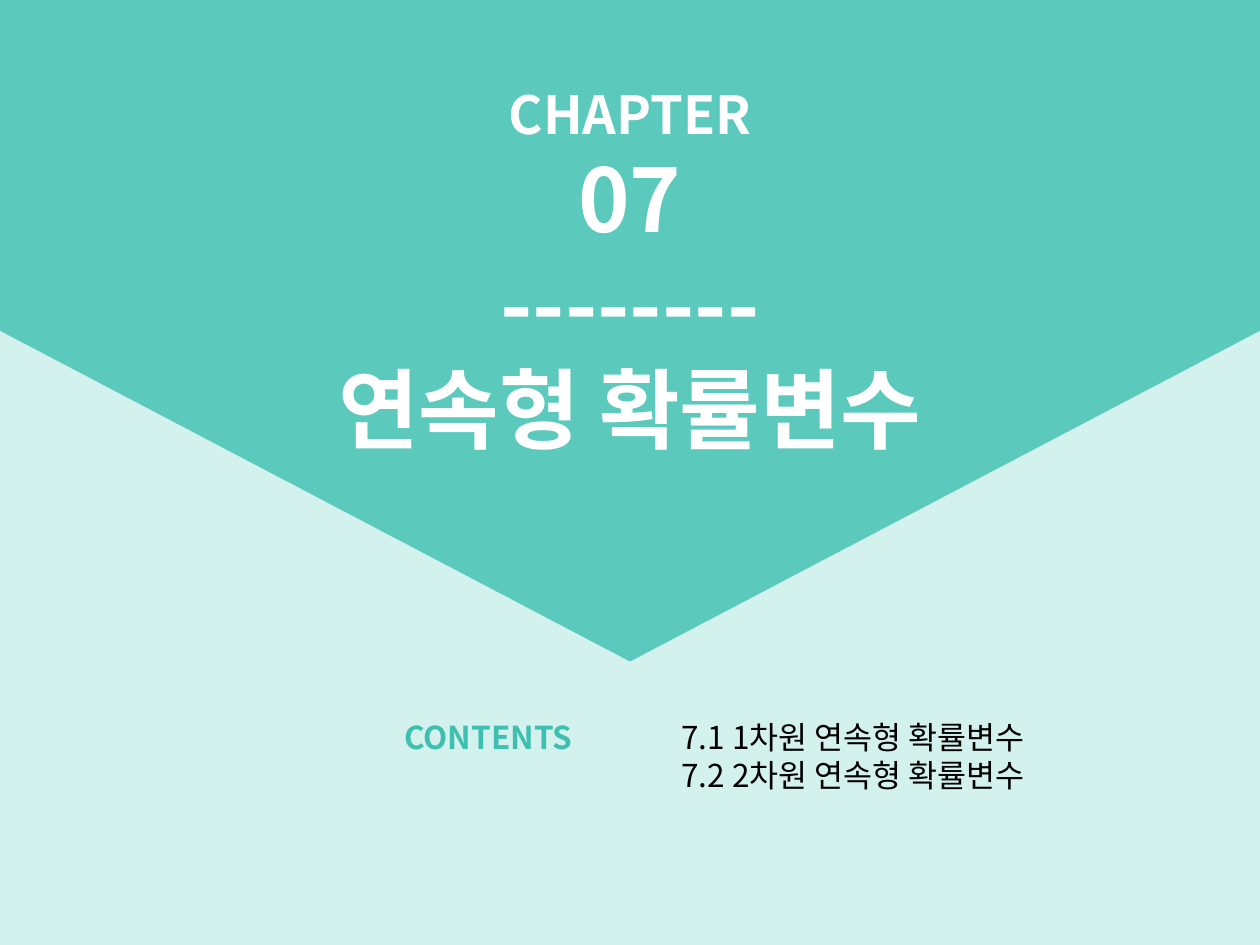
from lxml import etree
from pptx import Presentation
from pptx import util as u
from pptx.dml.color import RGBColor
from pptx.enum import shapes, text
from pptx.oxml.ns import qn

COLORS = {"pale": "D3F1ED", "mint": "5BC9BC", "accent": "3FBFB0",
          "white": "FFFFFF", "black": "000000"}
FONT = "Noto Sans CJK KR"
WIDTH, HEIGHT = u.Inches(10), u.Inches(7.5)


class ChapterSlide:
    """Holds the style and the slide; boxes are shares of the slide's size."""

    def __init__(self, prs):
        self.slide = prs.slides.add_slide(prs.slide_layouts[5])
        self.backdrop = self.slide.shapes.add_group_shape()

    def place(self, box):
        left, top, width, height = box
        return (round(left * WIDTH), round(top * HEIGHT),
                round(width * WIDTH), round(height * HEIGHT))

    def panel(self, kind, box, color, rotation=0):
        panel = self.backdrop.shapes.add_shape(kind, *self.place(box))
        panel.rotation = rotation
        panel.shadow.inherit = False
        panel.fill.solid()
        panel.fill.fore_color.rgb = RGBColor.from_string(COLORS[color])
        panel.line.fill.background()

    def add_lines(self, holder, lines, color, bold, align):
        """Fill a shape with one paragraph for each (wording, size) pair."""
        frame = holder.text_frame
        frame.word_wrap = True
        frame.auto_size = text.MSO_AUTO_SIZE.SHAPE_TO_FIT_TEXT
        frame.vertical_anchor = text.MSO_ANCHOR.TOP
        for index, (wording, size) in enumerate(lines):
            paragraph = frame.add_paragraph() if index else frame.paragraphs[0]
            paragraph.alignment = align
            run = paragraph.add_run()
            run.text = wording
            run.font.name, run.font.size, run.font.bold = FONT, u.Pt(size), bold
            run.font.color.rgb = RGBColor.from_string(COLORS[color])
        # Hangul takes its typeface from a:ea, not from a:latin.
        for latin in list(holder.element.iter(qn("a:latin"))):
            latin.addnext(etree.Element(qn("a:ea"), typeface=FONT))

    def title(self, box, lines, color):
        title = self.slide.shapes.title
        title.left, title.top, title.width, title.height = self.place(box)
        # Bring the title in front of the backdrop.
        title.element.getparent().append(title.element)
        self.add_lines(title, lines, color, True, text.PP_ALIGN.CENTER)

    def label(self, box, lines, color, bold=False):
        label = self.slide.shapes.add_textbox(*self.place(box))
        self.add_lines(label, lines, color, bold, text.PP_ALIGN.LEFT)


def main():
    prs = Presentation()
    prs.slide_width, prs.slide_height = WIDTH, HEIGHT
    chapter = ChapterSlide(prs)

    chapter.panel(shapes.MSO_SHAPE.RECTANGLE, (0, 0, 1, 1), "pale")
    # The pentagon is turned to point down, so its length spans the slide.
    depth, span = 0.525, WIDTH / HEIGHT
    chapter.panel(shapes.MSO_SHAPE.PENTAGON,
                  ((1 - depth) / 2, (depth - 1) / 2 * span, depth, span),
                  "mint", rotation=90)

    chapter.title((0.22, 0.08, 0.56, 0.42),
                  [("CHAPTER", 30), ("07", 50), ("--------", 50),
                   ("연속형 확률변수", 50)], "white")
    contents_top = 0.753
    chapter.label((0.531, contents_top, 0.331, 0.095),
                  [("7.1 1차원 연속형 확률변수", 18),
                   ("7.2 2차원 연속형 확률변수", 18)], "black")
    chapter.label((0.311, contents_top, 0.173, 0.053),
                  [("CONTENTS", 18)], "accent", bold=True)
    prs.save("out.pptx")


if __name__ == "__main__":
    main()
